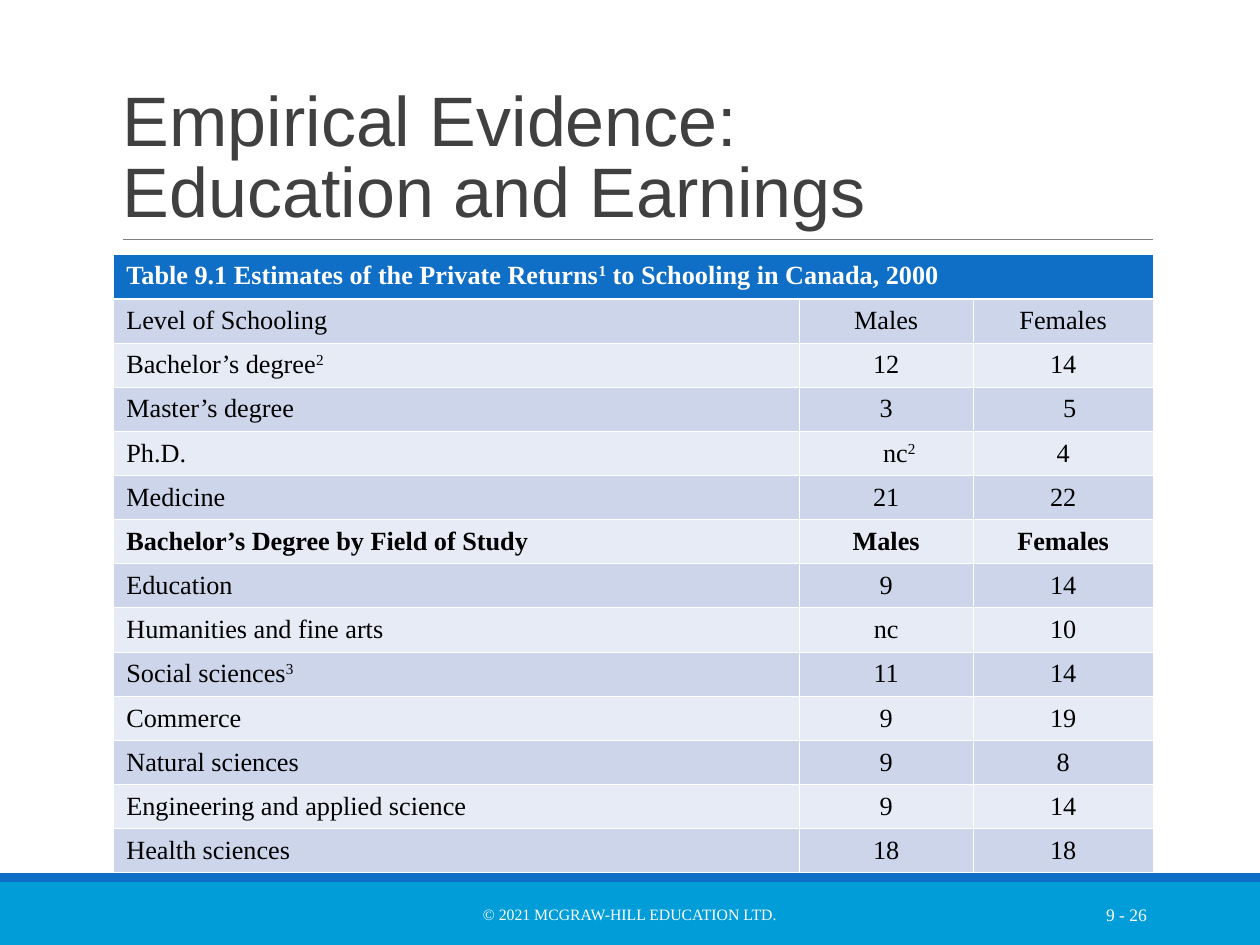
"""Build the slide on education and earnings with its table of private returns."""
from dataclasses import dataclass

from lxml.etree import SubElement
from pptx import Presentation
from pptx.dml.color import RGBColor
from pptx.enum.shapes import MSO_CONNECTOR, MSO_SHAPE
from pptx.enum.text import MSO_ANCHOR, MSO_AUTO_SIZE, PP_ALIGN
from pptx.oxml.ns import qn
from pptx.slide import Slide
from pptx.table import _Cell
from pptx.text.text import Font
from pptx.util import Pt

COLORS = {
    "white": "FFFFFF",
    "black": "000000",
    "title": "404040",
    "rule": "7F7F7F",
    "footer": "009DD9",
    "accent": "0F6FC6",
    "dark_band": "CCD5EA",
    "light_band": "E7EBF5",
}
SERIF = "Times New Roman"
SLIDE_WIDTH, SLIDE_HEIGHT = 720, 540
COLUMN_WIDTHS = (391.7, 99.4, 102.9)
ROW_HEIGHT = 25.25
THIN_BORDER, HEADER_BORDER = 0.45, 1.47
CELL_MARGIN = 7.2


@dataclass(frozen=True)
class Band:
    top: float
    height: float
    color: str


@dataclass(frozen=True)
class FooterText:
    text: str
    left: float
    width: float
    size: float
    alignment: PP_ALIGN


@dataclass(frozen=True)
class Row:
    label: str
    males: str = ""
    females: str = ""
    bold: bool = False
    males_indent: float = 0
    females_indent: float = 0


BANDS = (Band(504, 36, "footer"), Band(499, 5, "accent"))
FOOTER_TEXTS = (
    FooterText("© 2021 MCGRAW-HILL EDUCATION LTD.", 217.5, 284.5, 9, PP_ALIGN.CENTER),
    FooterText("9 - 26", 584.6, 77.8, 10, PP_ALIGN.RIGHT),
)
ROWS = (
    Row("Table 9.1 Estimates of the Private Returns^1^ to Schooling in Canada, 2000", bold=True),
    Row("Level of Schooling", "Males", "Females"),
    Row("Bachelor’s degree^2^", "12", "14"),
    Row("Master’s degree", "3", "5", females_indent=7.5),
    Row("Ph.D.", "nc^2^", "4", males_indent=15),
    Row("Medicine", "21", "22"),
    Row("Bachelor’s Degree by Field of Study", "Males", "Females", bold=True),
    Row("Education", "9", "14"),
    Row("Humanities and fine arts", "nc", "10"),
    Row("Social sciences^3^", "11", "14"),
    Row("Commerce", "9", "19"),
    Row("Natural sciences", "9", "8"),
    Row("Engineering and applied science", "9", "14"),
    Row("Health sciences", "18", "18"),
)


def rgb(name: str) -> RGBColor:
    return RGBColor.from_string(COLORS[name])


def format_font(font: Font, name: str, size: float, color: str, bold: bool = False) -> None:
    font.name = name
    font.size = Pt(size)
    font.bold = bold
    font.color.rgb = rgb(color)


def draw_title(slide: Slide) -> None:
    title = slide.shapes.title
    title.left, title.top, title.width, title.height = Pt(63), Pt(21.6), Pt(594), Pt(114.5)
    text_frame = title.text_frame
    text_frame.text = "Empirical Evidence:\vEducation and Earnings"
    text_frame.word_wrap = True
    text_frame.auto_size = MSO_AUTO_SIZE.NONE
    text_frame.vertical_anchor = MSO_ANCHOR.BOTTOM
    paragraph = text_frame.paragraphs[0]
    paragraph.alignment = PP_ALIGN.LEFT
    paragraph.line_spacing = 0.85
    for run in paragraph.runs:
        format_font(run.font, "Arial", 40, "title")


def draw_band(slide: Slide, band: Band) -> None:
    shape = slide.shapes.add_shape(
        MSO_SHAPE.RECTANGLE, Pt(0), Pt(band.top), Pt(SLIDE_WIDTH), Pt(band.height)
    )
    shape.shadow.inherit = False
    shape.fill.solid()
    shape.fill.fore_color.rgb = rgb(band.color)
    shape.line.fill.background()


def draw_rule(slide: Slide) -> None:
    connector = slide.shapes.add_connector(
        MSO_CONNECTOR.STRAIGHT, Pt(70.5), Pt(136.8), Pt(659), Pt(136.8)
    )
    connector.line.color.rgb = rgb("rule")
    connector.line.width = Pt(0.5)
    SubElement(connector._element.spPr, qn("a:effectLst"))


def draw_footer_text(slide: Slide, footer: FooterText) -> None:
    text_box = slide.shapes.add_textbox(
        Pt(footer.left), Pt(508.3), Pt(footer.width), Pt(28.8)
    )
    text_frame = text_box.text_frame
    text_frame.text = footer.text
    text_frame.word_wrap = True
    text_frame.vertical_anchor = MSO_ANCHOR.MIDDLE
    paragraph = text_frame.paragraphs[0]
    paragraph.alignment = footer.alignment
    format_font(paragraph.runs[0].font, SERIF, footer.size, "white")


def set_borders(cell: _Cell, top: float, bottom: float) -> None:
    properties = cell._tc.get_or_add_tcPr()
    widths = {"lnL": THIN_BORDER, "lnR": THIN_BORDER, "lnT": top, "lnB": bottom}
    for tag, width in widths.items():
        line = SubElement(properties, qn(f"a:{tag}"), w=str(Pt(width)))
        fill = SubElement(line, qn("a:solidFill"))
        SubElement(fill, qn("a:srgbClr"), val=COLORS["white"])


def write_cell(cell: _Cell, text: str, color: str, bold: bool, alignment: PP_ALIGN) -> None:
    paragraph = cell.text_frame.paragraphs[0]
    paragraph.alignment = alignment
    for index, part in enumerate(text.split("^")):
        if part:
            run = paragraph.add_run()
            run.text = part
            format_font(run.font, SERIF, 15, color, bold)
            if index % 2:
                run._r.get_or_add_rPr().set("baseline", "30000")


def draw_table(slide: Slide) -> None:
    table = slide.shapes.add_table(
        len(ROWS), len(COLUMN_WIDTHS), Pt(65), Pt(145.5),
        Pt(sum(COLUMN_WIDTHS)), Pt(ROW_HEIGHT * len(ROWS)),
    ).table
    table.horz_banding = False
    for column, width in zip(table.columns, COLUMN_WIDTHS):
        column.width = Pt(width)
    table.cell(0, 0).merge(table.cell(0, len(COLUMN_WIDTHS) - 1))
    for row_index, row in enumerate(ROWS):
        table.rows[row_index].height = Pt(ROW_HEIGHT)
        is_header = row_index == 0
        band = "accent" if is_header else ("light_band", "dark_band")[row_index % 2]
        top = HEADER_BORDER if row_index == 1 else THIN_BORDER
        bottom = HEADER_BORDER if is_header else THIN_BORDER
        texts = (row.label, row.males, row.females)
        indents = (0, row.males_indent, row.females_indent)
        for column_index, (text, indent) in enumerate(zip(texts, indents)):
            cell = table.cell(row_index, column_index)
            set_borders(cell, top, bottom)
            cell.fill.solid()
            cell.fill.fore_color.rgb = rgb(band)
            cell.margin_left = Pt(CELL_MARGIN + indent)
            cell.vertical_anchor = MSO_ANCHOR.TOP if is_header else MSO_ANCHOR.MIDDLE
            alignment = PP_ALIGN.CENTER if column_index else PP_ALIGN.LEFT
            write_cell(cell, text, "white" if is_header else "black", row.bold, alignment)


def main() -> None:
    presentation = Presentation()
    presentation.slide_width, presentation.slide_height = Pt(SLIDE_WIDTH), Pt(SLIDE_HEIGHT)
    slide = presentation.slides.add_slide(presentation.slide_layouts[5])
    for band in BANDS:
        draw_band(slide, band)
    draw_rule(slide)
    draw_table(slide)
    for footer in FOOTER_TEXTS:
        draw_footer_text(slide, footer)
    draw_title(slide)
    presentation.save("out.pptx")


if __name__ == "__main__":
    main()
